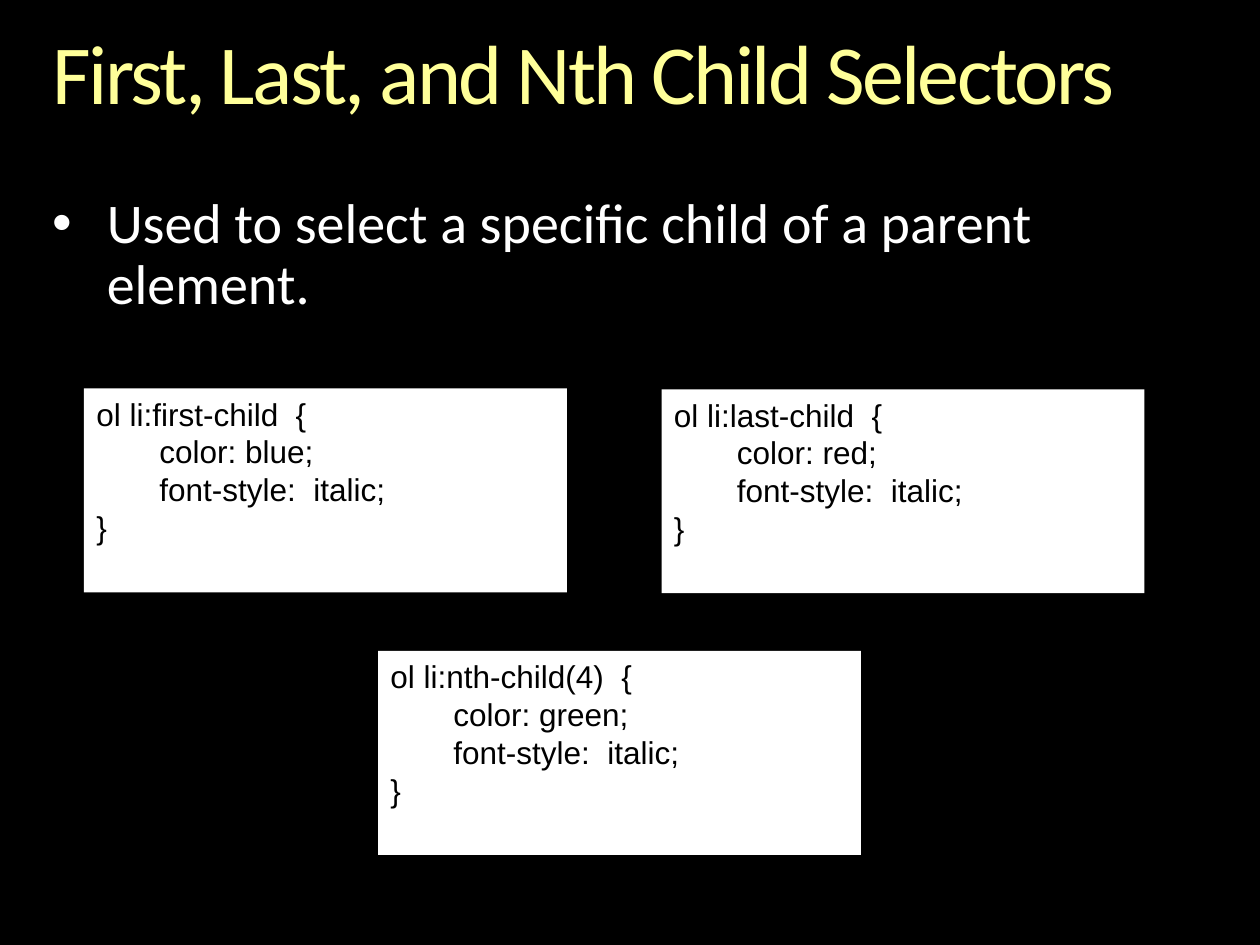
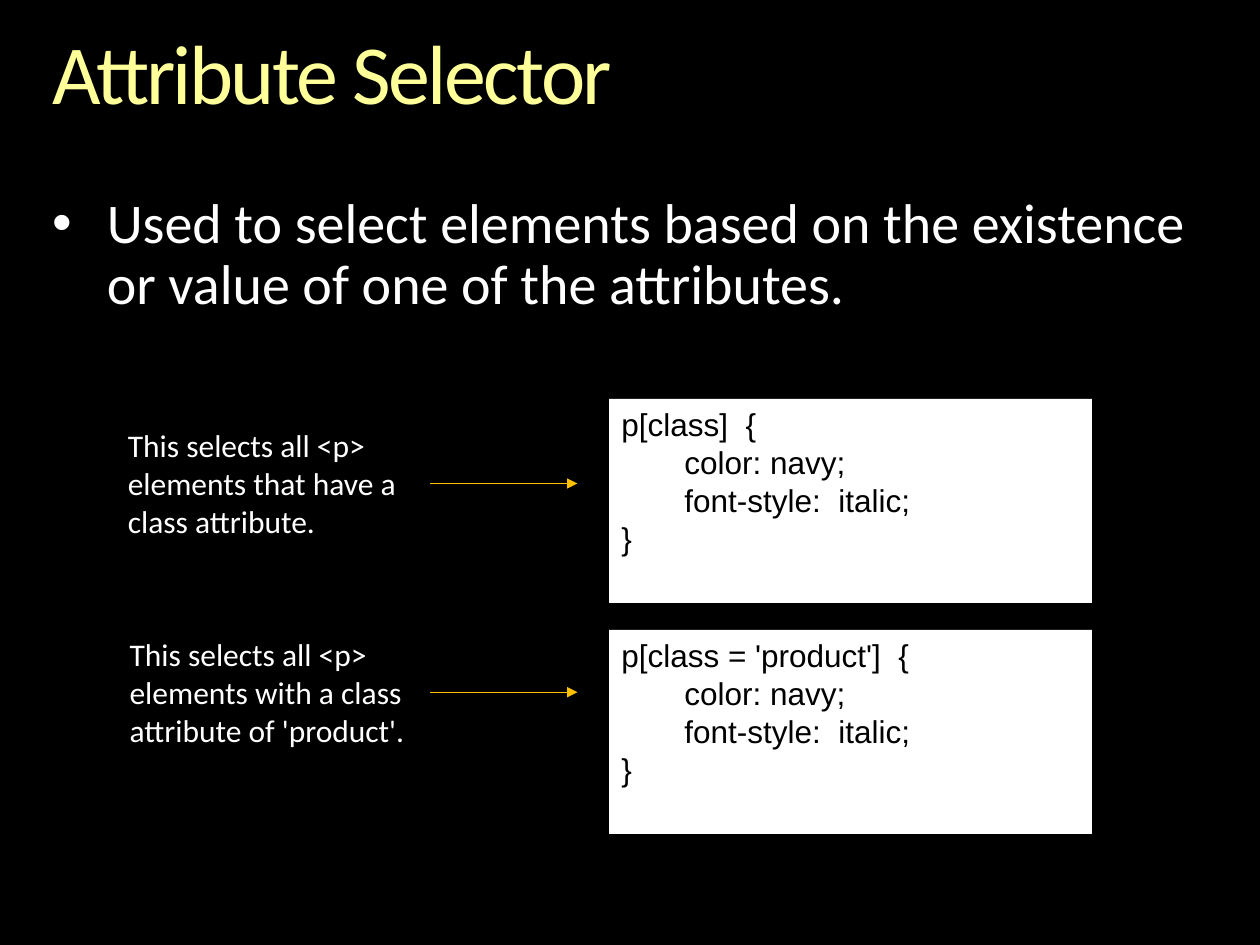
from collections import namedtuple
from dataclasses import dataclass

from lxml import etree
from pptx import Presentation
from pptx.dml.color import RGBColor
from pptx.enum.shapes import MSO_CONNECTOR, MSO_SHAPE
from pptx.enum.text import MSO_ANCHOR, MSO_AUTO_SIZE, PP_ALIGN
from pptx.oxml.ns import qn
from pptx.util import Pt

LEFT = PP_ALIGN.LEFT
TOP = MSO_ANCHOR.TOP
NO_FIT = MSO_AUTO_SIZE.NONE
RECT = MSO_SHAPE.RECTANGLE
STRAIGHT = MSO_CONNECTOR.STRAIGHT

Box = namedtuple("Box", "x y w h")


@dataclass(frozen=True)
class Theme:
    background: str = "000000"
    title: str = "FFFF99"
    text: str = "FFFFFF"
    panel: str = "FFFFFF"
    code: str = "000000"
    arrow: str = "FFC000"
    text_font: str = "Calibri"
    code_font: str = "Arial"
    title_size: float = 48
    body_size: float = 32
    small_size: float = 18
    title_tracking: float = -1.5
    line_spacing: float = 0.9
    bullet_indent: float = 31
    arrow_width: float = 0.75


THEME = Theme()
TITLE_BOX = Box(30, 18, 660, 52.5)
BODY_BOX = Box(30, 111.5, 660, 70)
PANEL_W, PANEL_H = 276, 116.5
NOTE_H = 73
ARROW_X, ARROW_W, ARROW_DROP = 246, 84, 36.3


def rgb(value):
    return RGBColor.from_string(value)


def place(shape, box):
    shape.left, shape.top, shape.width, shape.height = map(Pt, box)


def format_text(tf, font, size, color):
    tf.word_wrap = True
    tf.auto_size = NO_FIT
    tf.vertical_anchor = TOP
    for p in tf.paragraphs:
        p.alignment = LEFT
        for r in p.runs:
            r.font.name = font
            r.font.size = Pt(size)
            r.font.color.rgb = rgb(color)


def fill_placeholder(ph, box, text, size, color):
    place(ph, box)
    tf = ph.text_frame
    tf.text = text
    format_text(tf, THEME.text_font, size, color)
    tf.margin_left = tf.margin_top = tf.margin_right = tf.margin_bottom = 0
    p = tf.paragraphs[0]
    p.line_spacing = THEME.line_spacing
    return p


def add_topic_slide(prs, title, body):
    """Add a slide with its heading and one bulleted statement."""
    s = prs.slides.add_slide(prs.slide_layouts[1])
    p = fill_placeholder(s.shapes.title, TITLE_BOX, title, THEME.title_size, THEME.title)
    p.runs[0].font._element.set("spc", str(int(THEME.title_tracking * 100)))
    p = fill_placeholder(s.placeholders[1], BODY_BOX, body, THEME.body_size, THEME.text)
    pPr = p._p.get_or_add_pPr()
    pPr.set("marL", str(Pt(THEME.bullet_indent)))
    pPr.set("indent", str(-Pt(THEME.bullet_indent)))
    return s


def add_code_panel(s, x, y, selector, color):
    sp = s.shapes.add_shape(RECT, *map(Pt, (x, y, PANEL_W, PANEL_H)))
    sp.shadow.inherit = False
    sp.fill.solid()
    sp.fill.fore_color.rgb = rgb(THEME.panel)
    sp.line.fill.background()
    sp.text_frame.text = f"{selector}  {{\n\tcolor: {color};\n\tfont-style:  italic;\n}}"
    format_text(sp.text_frame, THEME.code_font, THEME.small_size, THEME.code)


def add_note(s, box, text):
    sp = s.shapes.add_textbox(*map(Pt, box))
    sp.text_frame.text = text
    format_text(sp.text_frame, THEME.text_font, THEME.small_size, THEME.text)


def add_arrow(s, x, y, w):
    line = s.shapes.add_connector(STRAIGHT, Pt(x), Pt(y), Pt(x + w), Pt(y))
    line.line.color.rgb = rgb(THEME.arrow)
    line.line.width = Pt(THEME.arrow_width)
    etree.SubElement(line.line._get_or_add_ln(), qn("a:tailEnd"), type="triangle")
    etree.SubElement(line._element.spPr, qn("a:effectLst"))


def add_explained_note(s, box, text):
    """Add a note and the arrow that leads from it to its code panel."""
    add_note(s, box, text)
    add_arrow(s, ARROW_X, box.y + ARROW_DROP, ARROW_W)


def build_child_selectors(prs):
    s = add_topic_slide(prs, "First, Last, and Nth Child Selectors",
                        "Used to select a specific child of a parent element.")
    panels = [
        (48, 222, "first-child", "blue"),
        (216, 372, "nth-child(4)", "green"),
        (378, 222.5, "last-child", "red"),
    ]
    for x, y, pseudo_class, color in panels:
        add_code_panel(s, x, y, f"ol li:{pseudo_class}", color)


def build_attribute_selector(prs):
    s = add_topic_slide(prs, "Attribute Selector",
                        "Used to select elements based on the existence or value "
                        "of one of the attributes.")
    rows = [
        (228, "p[class]", Box(66, 240, 203.75, NOTE_H),
         "This selects all <p> elements that have a class attribute."),
        (360, "p[class = 'product']", Box(67, 359.25, 210, NOTE_H),
         "This selects all <p> elements with a class attribute of 'product'."),
    ]
    for y, selector, note_box, note in rows:
        add_code_panel(s, 348, y, selector, "navy")
        add_explained_note(s, note_box, note)


def main():
    prs = Presentation()
    prs.slide_width, prs.slide_height = Pt(720), Pt(540)
    fill = prs.slide_master.background.fill
    fill.solid()
    fill.fore_color.rgb = rgb(THEME.background)
    build_child_selectors(prs)
    build_attribute_selector(prs)
    prs.save("out.pptx")


if __name__ == "__main__":
    main()
